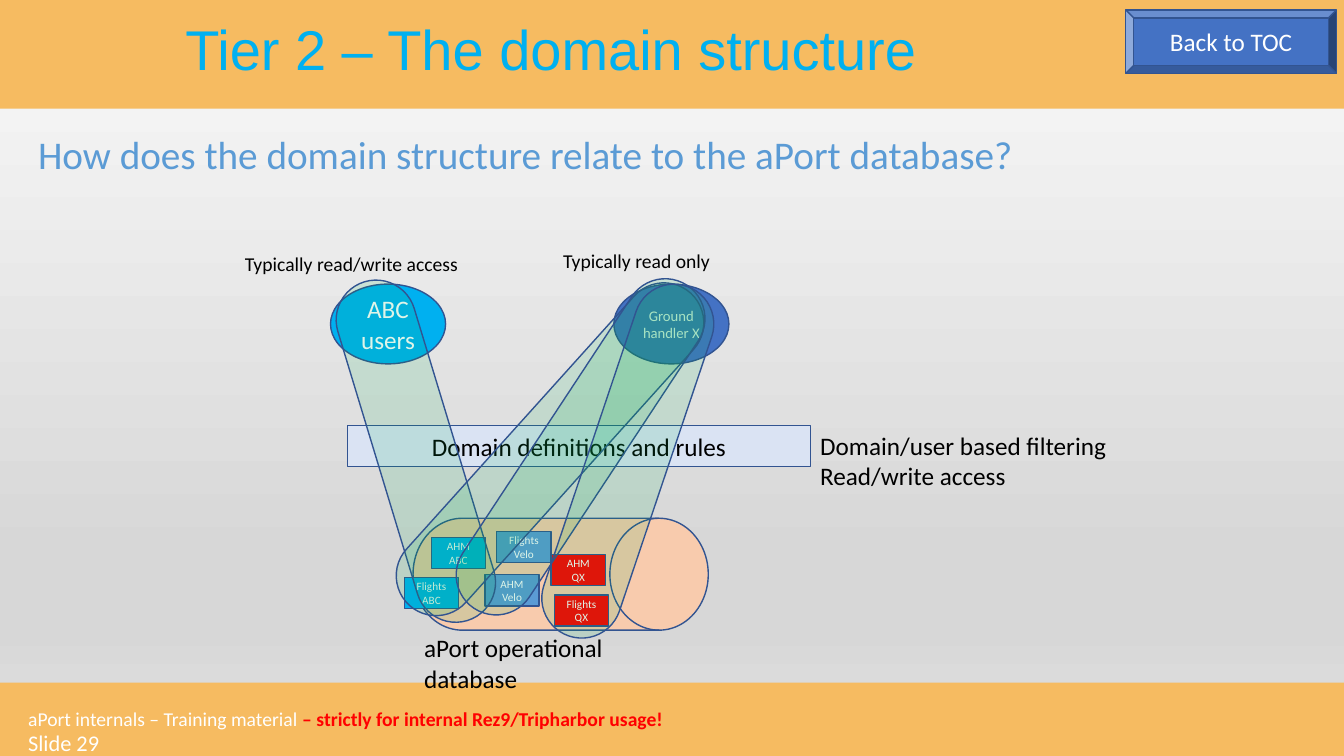
from lxml.etree import SubElement
from pptx import Presentation
from pptx.dml.color import RGBColor
from pptx.enum.shapes import MSO_SHAPE
from pptx.enum.text import MSO_ANCHOR, MSO_AUTO_SIZE, PP_ALIGN
from pptx.oxml.ns import qn
from pptx.util import Cm, Pt

THEME = {
    "color": {
        "band": "F6BB61", "white": "FFFFFF", "black": "000000", "red": "FF0000",
        "sky": "00B0F0", "steel": "5B9BD5", "blue": "4472C4", "edge": "325491",
        "pale": "DAE3F3", "peach": "F8CBAD", "green": "00B050",
    },
    "size": {"title": 40, "head": 28, "body": 18, "page": 16, "note": 14, "user": 10.5, "tiny": 8},
    "back": [(0, "FAFAFA"), (74, "D7D7D7"), (83, "D7D7D7"), (100, "E4E4E4")],
    "alpha": 13,
}
WIDE, HIGH = 33.87, 19.05

BANDS = [(0, 2.74), (17.2, 1.85)]
FOOT = [("aPort internals – Training material ", "white", False),
        ("– strictly for internal Rez9/Tripharbor usage!", "red", True)]
TITLE = "Tier 2 – The domain structure"
LABELS = [
    ((0.71, 3.15, 26.01, 1.45), ["How does the domain structure relate to the aPort database?"], "head", "steel"),
    ((10.44, 15.82, 7.42, 1.02), ["aPort operational database"], "body", "black"),
    ((20.42, 10.72, 7.8, 1.8), ["Domain/user based filtering", "Read/write access"], "body", "black"),
    ((5.92, 6.22, 6.05, 0.86), ["Typically read/write access"], "note", "black"),
    ((13.94, 6.15, 4.37, 0.86), ["Typically read only"], "note", "black"),
    ((0.46, 18.24, 3.51, 0.94), ["Slide 29"], "page", "white"),
]
DRUM = (10.41, 13.06, 7.44, 2.82)
RECORD = (1.37, 0.79)
RECORDS = [
    (10.87, 13.54, "AHM", "ABC"), (12.22, 14.48, "AHM", "Velo"), (13.89, 13.97, "AHM", "QX"),
    (10.19, 14.55, "Flights", "ABC"), (12.52, 13.39, "Flights", "Velo"), (13.97, 14.99, "Flights", "QX"),
]
OWNERS = {"ABC": "sky", "Velo": "steel", "QX": "red"}
RULES = (8.76, 10.72, 11.66, 1.04)
USERS = [(8.33, "ABC users", "sky", "body"), (15.47, "Ground handler X", "blue", "user")]
USER = (7.16, 2.9, 2.01)
BEAM = 2.01
BEAMS = [(10.48, 11.37, 8.92, 73.1), (13.86, 11.32, 10.59, 132),
         (14.63, 11.26, 9.75, 123.4), (15.82, 11.62, 9.3, 108.6)]
BUTTON = (28.37, 0.25, 5.31, 1.6)


def tint(name):
    return RGBColor.from_string(THEME["color"][name])


def apply(item, values):
    for key, value in values.items():
        setattr(item, key, value)


def write(para, text, size, color, bold=False, font="Calibri"):
    run = para.add_run()
    run.text = text
    apply(run.font, {"name": font, "size": Pt(THEME["size"][size]), "bold": bold})
    run.font.color.rgb = tint(color)


def fill_text(frame, lines, size, color, align, font="Calibri"):
    for i, line in enumerate(lines):
        para = frame.add_paragraph() if i else frame.paragraphs[0]
        para.alignment = align
        write(para, line, size, color, font=font)


def label(slide, box, lines, size, color, font="Calibri", wrap=False):
    frame = slide.shapes.add_textbox(*map(Cm, box)).text_frame
    apply(frame, {"word_wrap": wrap, "auto_size": MSO_AUTO_SIZE.SHAPE_TO_FIT_TEXT})
    fill_text(frame, lines, size, color, PP_ALIGN.LEFT, font)
    return frame


def draw(slide, kind, box, fill, lines=(), size="body", color="white", edge=True):
    shape = slide.shapes.add_shape(kind, *map(Cm, box))
    shape.shadow.inherit = False
    shape.fill.solid()
    shape.fill.fore_color.rgb = tint(fill)
    if edge:
        shape.line.color.rgb = tint("edge")
        shape.line.width = Pt(1)
    else:
        shape.line.fill.background()
    apply(shape.text_frame, {"word_wrap": True, "vertical_anchor": MSO_ANCHOR.MIDDLE})
    fill_text(shape.text_frame, lines, size, color, PP_ALIGN.CENTER)
    return shape


def shade(slide):
    fill = slide.background.fill
    fill.gradient()
    fill.gradient_angle = 270
    stops = next(slide.background._cSld.iter(qn("a:gsLst")))
    for stop in list(stops):
        stops.remove(stop)
    for place, color in THEME["back"]:
        stop = SubElement(stops, qn("a:gs"), pos=str(place * 1000))
        SubElement(stop, qn("a:srgbClr"), val=color)


def beam(slide, x, y, length, angle):
    box = (x - length / 2, y - BEAM / 2, length, BEAM)
    shape = draw(slide, MSO_SHAPE.ROUNDED_RECTANGLE, box, "green")
    shape.adjustments[0] = 0.5
    shape.rotation = angle
    color = shape._element.spPr.find(qn("a:solidFill"))[0]
    SubElement(color, qn("a:alpha"), val=str(THEME["alpha"] * 1000))


def main():
    deck = Presentation()
    apply(deck, {"slide_width": Cm(WIDE), "slide_height": Cm(HIGH)})
    slide = deck.slides.add_slide(deck.slide_layouts[6])
    shade(slide)
    for top, high in BANDS:
        draw(slide, MSO_SHAPE.RECTANGLE, (0, top, WIDE, high), "band", edge=False)
    foot = label(slide, (0.46, 17.68, 19.13, 0.86), [], "note", "white", wrap=True)
    for text, color, bold in FOOT:
        write(foot.paragraphs[0], text, "note", color, bold)
    label(slide, (4.42, 0.25, 19.13, 1.96), [TITLE], "title", "sky", "Arial")
    draw(slide, MSO_SHAPE.FLOWCHART_DIRECT_ACCESS_STORAGE, DRUM, "peach")
    for x, y, kind, owner in RECORDS:
        draw(slide, MSO_SHAPE.RECTANGLE, (x, y, *RECORD), OWNERS[owner], [kind, owner], "tiny")
    draw(slide, MSO_SHAPE.RECTANGLE, RULES, "pale", ["Domain definitions and rules"], color="black")
    for x, text, fill, size in USERS:
        draw(slide, MSO_SHAPE.OVAL, (x, *USER), fill, [text], size)
    for spot in BEAMS:
        beam(slide, *spot)
    for item in LABELS:
        label(slide, *item)
    draw(slide, MSO_SHAPE.BEVEL, BUTTON, "blue", ["Back to TOC"])
    deck.save("out.pptx")


if __name__ == "__main__":
    main()
